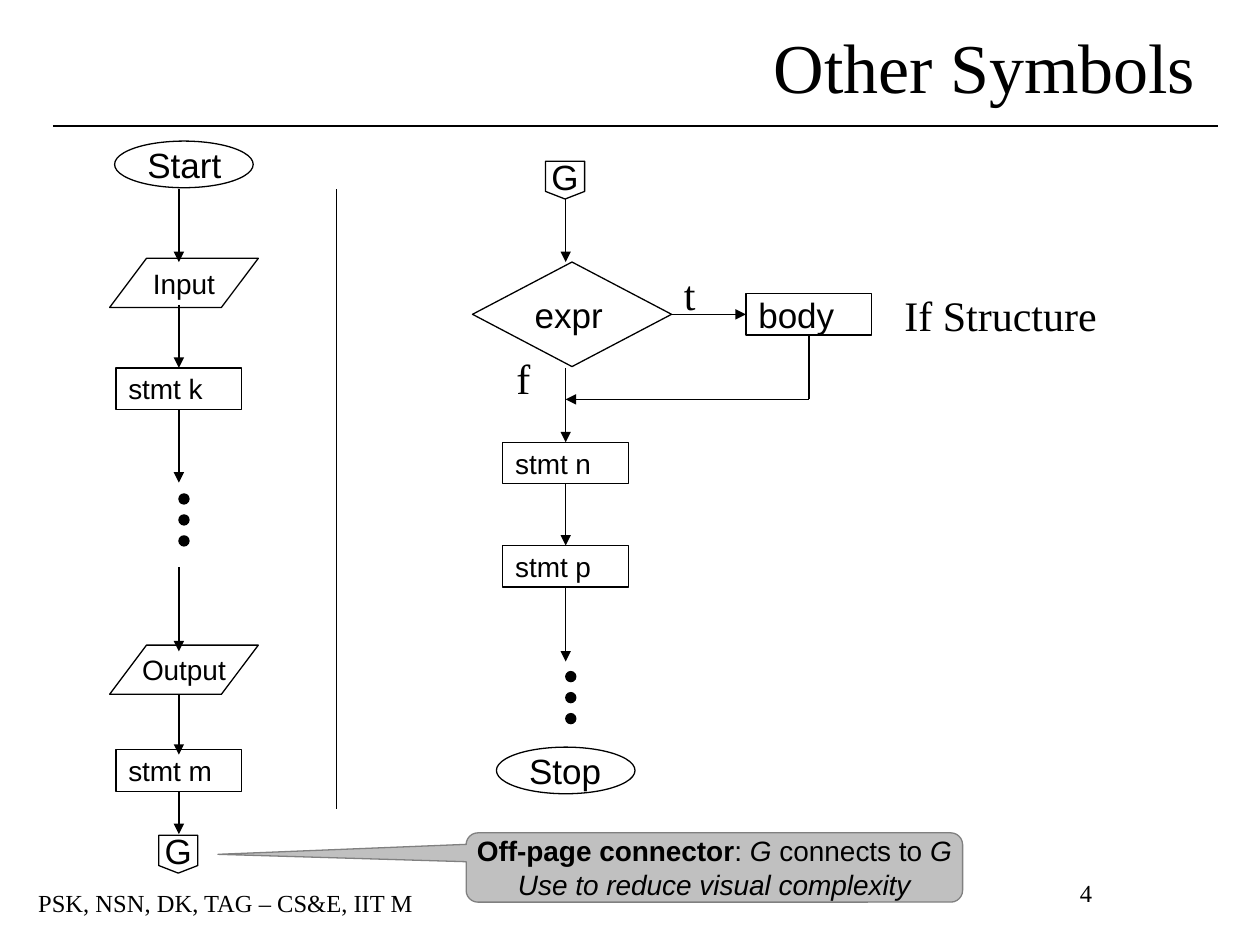
from dataclasses import dataclass

from lxml import etree
from pptx import Presentation
from pptx.dml.color import RGBColor
from pptx.enum.shapes import MSO_CONNECTOR, MSO_SHAPE
from pptx.enum.text import MSO_ANCHOR, MSO_AUTO_SIZE, PP_ALIGN
from pptx.oxml.ns import qn
from pptx.util import Inches, Pt

RECTANGLE = MSO_SHAPE.RECTANGLE
ELLIPSE = MSO_SHAPE.OVAL
DIAMOND = MSO_SHAPE.DIAMOND
PARALLELOGRAM = MSO_SHAPE.PARALLELOGRAM
OFFPAGE = MSO_SHAPE.FLOWCHART_OFFPAGE_CONNECTOR
CALLOUT = MSO_SHAPE.ROUNDED_RECTANGULAR_CALLOUT
STRAIGHT = MSO_CONNECTOR.STRAIGHT
LEFT, CENTER = PP_ALIGN.LEFT, PP_ALIGN.CENTER
MIDDLE, TOP_ANCHOR = MSO_ANCHOR.MIDDLE, MSO_ANCHOR.TOP
TOP, LEFT_SIDE, BOTTOM, RIGHT_SIDE = range(4)


@dataclass(frozen=True)
class Theme:
    ink: RGBColor = RGBColor(0, 0, 0)
    callout_fill: RGBColor = RGBColor(0xC0, 0xC0, 0xC0)
    callout_line: RGBColor = RGBColor(0x80, 0x80, 0x80)
    serif: str = "Times New Roman"
    sans: str = "Arial"
    title: int = 40
    label: int = 24
    large: int = 20
    small: int = 16
    footer: int = 14
    line: float = 0.75
    hairline: float = 0


THEME = Theme()
LEFT_X, RIGHT_X = 1.42, 4.49
STATEMENT = (1, 0.33)
TERMINAL = (1.1, 0.37)
DATA = (1.18, 0.39)
CONNECTOR = (0.31, 0.3)


def add_run(paragraph, text, size, font, bold=False, italic=False):
    run = paragraph.add_run()
    run.text = text
    run.font.size = Pt(size)
    run.font.name = font
    run.font.bold = bold
    run.font.italic = italic
    run.font.color.rgb = THEME.ink


def set_frame(frame, wrap, anchor, align):
    """Set up a text frame and return its first paragraph."""
    frame.word_wrap = wrap
    frame.vertical_anchor = anchor
    paragraph = frame.paragraphs[0]
    paragraph.alignment = align
    return paragraph


def add_node(slide, kind, position, size, text=None, text_size=THEME.small,
             align=LEFT, line_width=THEME.line):
    shape = slide.shapes.add_shape(kind, *map(Inches, (*position, *size)))
    shape.shadow.inherit = False
    shape.fill.background()
    shape.line.color.rgb = THEME.ink
    shape.line.width = Pt(line_width)
    paragraph = set_frame(shape.text_frame, False, MIDDLE, align)
    if text:
        add_run(paragraph, text, text_size, THEME.sans)
    return shape


def add_data(slide, top, text):
    shape = add_node(slide, PARALLELOGRAM, (0.87, top), DATA, text,
                     align=CENTER, line_width=THEME.hairline)
    shape.adjustments[0] = 0.75


def add_offpage(slide, left, top):
    add_node(slide, OFFPAGE, (left, top), CONNECTOR, "G", THEME.large,
             CENTER, THEME.hairline)


def add_dots(slide, left, top):
    for index in range(3):
        dot = add_node(slide, ELLIPSE, (left, top + index / 6), (0.08, 0.08))
        dot.fill.solid()
        dot.fill.fore_color.rgb = THEME.ink


def add_line(slide, start, end, arrow=True, source=None, target=None):
    """Draw a line; source and target are (shape, side) pairs to join."""
    line = slide.shapes.add_connector(STRAIGHT, *map(Inches, (*start, *end)))
    line.line.color.rgb = THEME.ink
    line.line.width = Pt(THEME.line)
    if arrow:
        etree.SubElement(line.line._get_or_add_ln(), qn("a:tailEnd"), type="triangle")
    etree.SubElement(line._element.spPr, qn("a:effectLst"))
    if source:
        line.begin_connect(*source)
    if target:
        line.end_connect(*target)


def add_down_arrow(slide, x, top, bottom, source=None, target=None):
    add_line(slide, (x, top), (x, bottom),
             source=source and (source, BOTTOM), target=target and (target, TOP))


def add_label(slide, box, text, size=THEME.label, align=LEFT):
    label = slide.shapes.add_textbox(*map(Inches, box))
    paragraph = set_frame(label.text_frame, True, TOP_ANCHOR, align)
    add_run(paragraph, text, size, THEME.serif)


def add_title(slide, text):
    title = slide.shapes.title
    title.left, title.top, title.width, title.height = map(Inches, (5.2, 0.17, 4.55, 0.7))
    frame = title.text_frame
    frame.auto_size = MSO_AUTO_SIZE.NONE
    frame.margin_left = frame.margin_right = frame.margin_top = frame.margin_bottom = 0
    paragraph = set_frame(frame, True, MIDDLE, LEFT)
    properties = paragraph._p.get_or_add_pPr()
    properties.set("marL", str(Inches(1.18)))
    properties.set("indent", str(Inches(-0.24)))
    add_run(paragraph, text, THEME.title, THEME.serif)


def add_callout(slide):
    callout = add_node(slide, CALLOUT, (3.7, 6.61), (3.94, 0.55),
                       align=CENTER, line_width=THEME.hairline)
    for index, value in enumerate((-1, -0.19, 0.17)):
        callout.adjustments[index] = value
    callout.fill.solid()
    callout.fill.fore_color.rgb = THEME.callout_fill
    callout.line.color.rgb = THEME.callout_line
    paragraph = callout.text_frame.paragraphs[0]
    for text, bold, italic in (("Off-page connector", True, False), (": ", False, False),
                               ("G", False, True), (" connects to ", False, False),
                               ("G", False, True)):
        add_run(paragraph, text, THEME.small, THEME.sans, bold, italic)
    paragraph.add_line_break()
    add_run(paragraph, "Use to reduce visual complexity", THEME.small, THEME.sans, italic=True)


def add_left_flow(slide):
    add_node(slide, ELLIPSE, (0.91, 1.12), TERMINAL, "Start", THEME.large)
    add_data(slide, 2.05, "Input")
    add_data(slide, 5.12, "Output")
    statement_k = add_node(slide, RECTANGLE, (0.92, 2.92), STATEMENT, "stmt k")
    statement_m = add_node(slide, RECTANGLE, (0.92, 5.95), STATEMENT, "stmt m")
    add_offpage(slide, 1.26, 6.63)
    add_dots(slide, LEFT_X, 3.92)
    add_down_arrow(slide, LEFT_X, 1.5, 2.08)
    add_down_arrow(slide, LEFT_X, 2.42, 2.92, target=statement_k)
    add_down_arrow(slide, LEFT_X, 3.25, 3.83, source=statement_k)
    add_down_arrow(slide, LEFT_X, 4.5, 5.17)
    add_down_arrow(slide, LEFT_X, 5.51, 5.99)
    add_down_arrow(slide, LEFT_X, 6.28, 6.62, source=statement_m)


def add_right_flow(slide):
    add_offpage(slide, 4.33, 1.28)
    decision = add_node(slide, DIAMOND, (3.75, 2.08), (1.58, 0.83), "expr", THEME.large)
    body = add_node(slide, RECTANGLE, (5.92, 2.33), STATEMENT, "body", THEME.large)
    statement_n = add_node(slide, RECTANGLE, (3.99, 3.51), STATEMENT, "stmt n")
    statement_p = add_node(slide, RECTANGLE, (3.99, 4.33), STATEMENT, "stmt p")
    add_node(slide, ELLIPSE, (3.94, 5.93), TERMINAL, "Stop", THEME.large)
    add_dots(slide, RIGHT_X, 5.33)
    add_down_arrow(slide, RIGHT_X, 1.58, 2.08)
    add_down_arrow(slide, RIGHT_X, 2.92, 3.51, target=statement_n)
    add_down_arrow(slide, RIGHT_X, 3.84, 4.33, statement_n, statement_p)
    add_down_arrow(slide, RIGHT_X, 4.66, 5.25, source=statement_p)
    add_line(slide, (5.33, 2.5), (5.92, 2.5),
             source=(decision, RIGHT_SIDE), target=(body, LEFT_SIDE))
    add_line(slide, (6.42, 2.66), (6.42, 3.17), arrow=False, source=(body, BOTTOM))
    add_line(slide, (6.42, 3.17), (RIGHT_X, 3.17))
    add_label(slide, (5.33, 2.08, 0.42, 0.5), "t")
    add_label(slide, (4, 2.75, 0.42, 0.5), "f")
    add_label(slide, (7.08, 2.25, 2.17, 0.5), "If Structure")


def main():
    presentation = Presentation()
    presentation.slide_width, presentation.slide_height = Inches(10), Inches(7.5)
    slide = presentation.slides.add_slide(presentation.slide_layouts[5])
    add_title(slide, "Other Symbols")
    add_line(slide, (0.42, 1), (9.67, 1), arrow=False)
    add_line(slide, (2.67, 1.5), (2.67, 6.42), arrow=False)
    add_left_flow(slide)
    add_right_flow(slide)
    add_callout(slide)
    add_label(slide, (0, 7, 3.58, 0.34), "PSK, NSN, DK, TAG – CS&E, IIT M", THEME.footer, CENTER)
    add_label(slide, (7.58, 6.92, 2.08, 0.34), "4", THEME.footer, CENTER)
    presentation.save("out.pptx")


if __name__ == "__main__":
    main()
